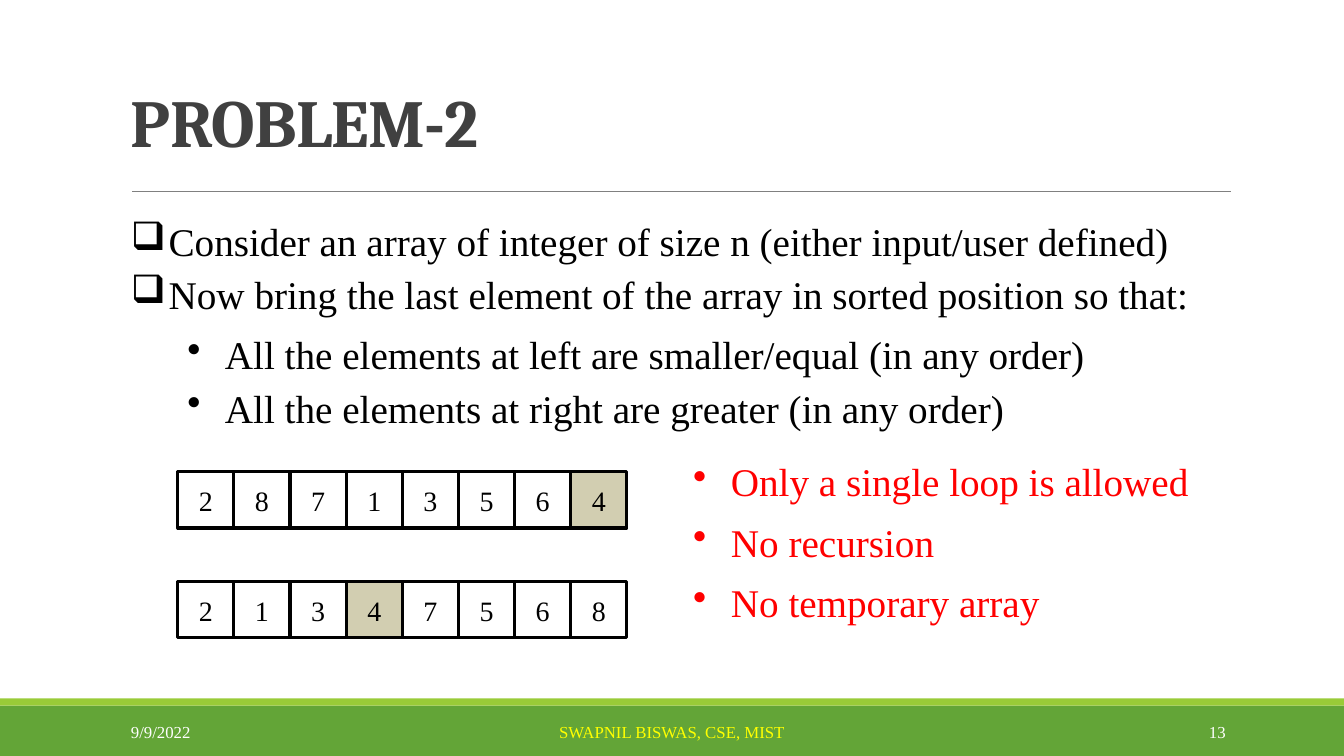
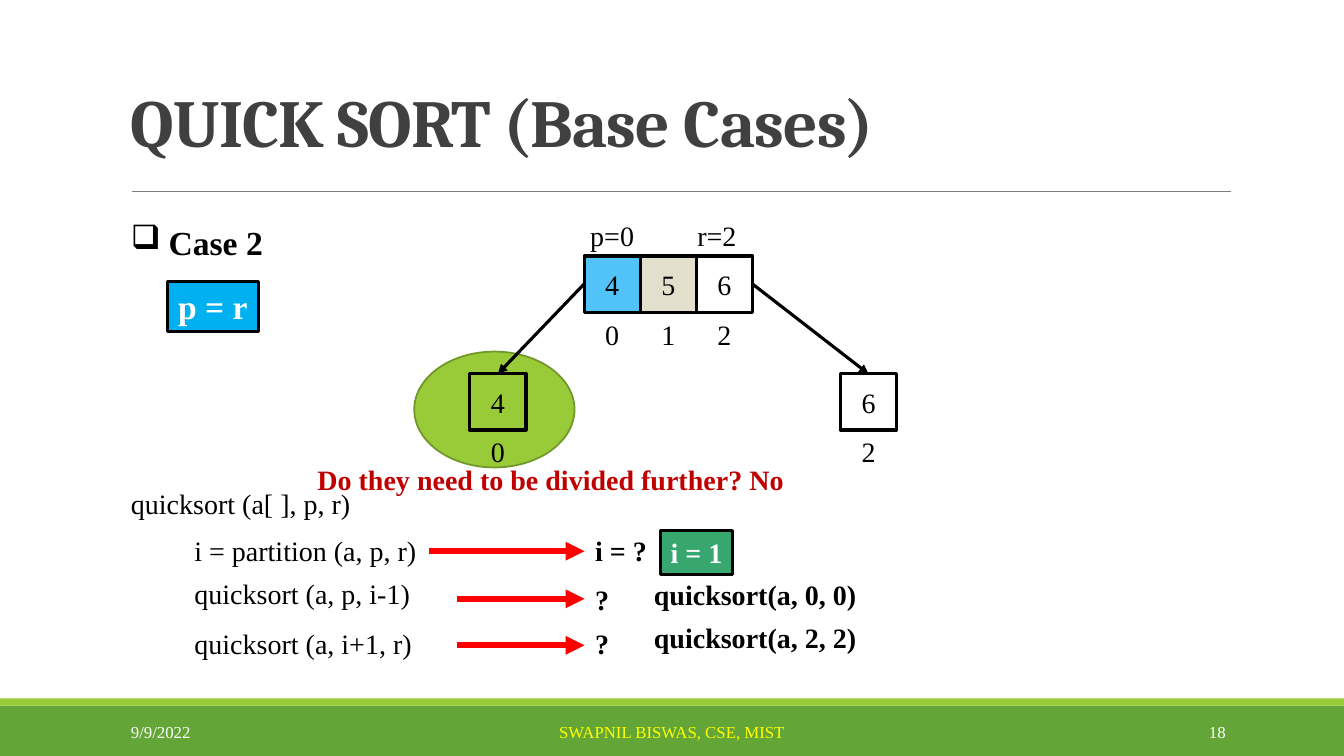
from pptx import Presentation
from pptx.dml.color import RGBColor
from pptx.enum.shapes import MSO_CONNECTOR, MSO_SHAPE
from pptx.enum.text import MSO_ANCHOR, PP_ALIGN
from pptx.oxml.ns import qn
from pptx.util import Cm, Pt
from lxml.etree import SubElement

COLORS = {
    "black": "000000", "white": "FFFFFF", "title": "404040", "rule": "808080",
    "band": "63A537", "lime": "99CB38", "olive": "719629", "yellow": "FFFF00",
    "red": "FF0000", "dark_red": "C00000", "sand": "D2CEB1", "pale_sand": "E2DFCC",
    "sky": "51C3F9", "blue": "00B0F0", "green": "37A76F",
}
BODY_FONT, TITLE_FONT = "Times New Roman", "Cambria"
CELL = 1.415    # side of an array cell
INDENT = 0.95   # hanging indent of a bullet
LEFT = 3.05     # left edge of the content


def rgb(name):
    return RGBColor.from_string(COLORS[name])


def text_height(size):
    """Height of a one-line text box, in cm."""
    return round(size * 0.0423 + 0.26, 2)


# ---- basic parts ----
def style_text(tf, size, color="black", bold=False, font=BODY_FONT,
               align=PP_ALIGN.LEFT):
    for p in tf.paragraphs:
        p.alignment = align
        for r in p.runs:
            r.font.size = Pt(size)
            r.font.name = font
            r.font.bold = bold
            r.font.color.rgb = rgb(color)


def add_text(s, text, x, y, w, size=20, h=None, anchor=MSO_ANCHOR.TOP, **style):
    sp = s.shapes.add_textbox(Cm(x), Cm(y), Cm(w), Cm(h or text_height(size)))
    tf = sp.text_frame
    tf.word_wrap = True
    tf.vertical_anchor = anchor
    tf.text = text
    style_text(tf, size, **style)
    return tf


def add_label(s, text, cx, y):
    """Short text centred on cx."""
    add_text(s, text, cx - 1, y, 2, align=PP_ALIGN.CENTER)


def add_box(s, x, y, w, h, fill=None, line=None, weight=2.25,
            kind=MSO_SHAPE.RECTANGLE, text="", size=20, color="black", bold=False):
    sp = s.shapes.add_shape(kind, Cm(x), Cm(y), Cm(w), Cm(h))
    sp.shadow.inherit = False
    if fill:
        sp.fill.solid()
        sp.fill.fore_color.rgb = rgb(fill)
    else:
        sp.fill.background()
    if line:
        sp.line.color.rgb = rgb(line)
        sp.line.width = Pt(weight)
    else:
        sp.line.fill.background()
    if text:
        tf = sp.text_frame
        tf.margin_left = tf.margin_right = 0
        tf.vertical_anchor = MSO_ANCHOR.MIDDLE
        tf.text = text
        style_text(tf, size, color, bold, align=PP_ALIGN.CENTER)
    return sp


def add_line(s, x1, y1, x2, y2, color="black", weight=2.25, arrow=True):
    c = s.shapes.add_connector(MSO_CONNECTOR.STRAIGHT, Cm(x1), Cm(y1), Cm(x2), Cm(y2))
    c.line.color.rgb = rgb(color)
    c.line.width = Pt(weight)
    sp_pr = c._element.spPr
    if arrow:
        SubElement(sp_pr.find(qn("a:ln")), qn("a:tailEnd"), type="triangle")
    SubElement(sp_pr, qn("a:effectLst"))


def set_bullet(p, char, left=INDENT):
    p_pr = p._p.get_or_add_pPr()
    p_pr.set("marL", str(int(Cm(left))))
    p_pr.set("indent", str(-int(Cm(INDENT))))
    SubElement(p_pr, qn("a:buChar"), char=char)


def add_bullets(s, x, y, w, items, size=28, **style):
    """items: (text, bullet, left indent, space before in points)"""
    tf = add_text(s, "\n".join(item[0] for item in items), x, y, w, size,
                  h=text_height(size) * len(items), **style)
    for p, (_, char, left, gap) in zip(tf.paragraphs, items):
        p.space_before = Pt(gap)
        set_bullet(p, char, left)


def add_array(s, x, y, values, fills):
    """Row of cells; fills maps an index to a colour, None leaves all clear."""
    for i, value in enumerate(values):
        fill = None if fills is None else fills.get(i, "white")
        add_box(s, x + i * CELL, y, CELL, CELL, fill, "black", text=str(value))


# ---- frame shared by the slides ----
def add_frame(prs, title, number):
    s = prs.slides.add_slide(prs.slide_layouts[6])
    add_box(s, 0, 17.78, 33.87, 1.27, "band")
    add_box(s, 0, 17.6, 33.87, 0.18, "lime")
    add_line(s, 3.33, 4.83, 31.01, 4.83, "rule", 0.5, arrow=False)

    tf = add_text(s, title, LEFT, 0.15, 27.94, 48, h=4.04, anchor=MSO_ANCHOR.BOTTOM,
                  color="title", bold=True, font=TITLE_FONT)
    p = tf.paragraphs[0]
    p.line_spacing = 0.85
    p.runs[0].font._element.set("spc", "-50")

    footers = (
        ("9/9/2022", LEFT, 6.86, "white", PP_ALIGN.LEFT),
        ("SWAPNIL BISWAS, CSE, MIST", 10.24, 13.39, "yellow", PP_ALIGN.CENTER),
        (str(number), 27.51, 3.63, "white", PP_ALIGN.RIGHT),
    )
    for text, x, w, color, align in footers:
        add_text(s, text, x, 17.93, w, 12, h=1.02, anchor=MSO_ANCHOR.MIDDLE,
                 color=color, align=align)
    return s


# ---- slide: array problem ----
def problem_slide(prs):
    s = add_frame(prs, "PROBLEM-2", 13)
    sub = INDENT + 1.42
    add_bullets(s, LEFT, 5.36, 28.2, (
        ("Consider an array of integer of size n (either input/user defined)",
         "❑", INDENT, 0),
        ("Now bring the last element of the array in sorted position so that:",
         "❑", INDENT, 4),
        ("All the elements at left are smaller/equal (in any order)", "•", sub, 9.5),
        ("All the elements at right are greater (in any order)", "•", sub, 4.5),
    ))

    # array before and after
    add_array(s, 4.48, 11.89, (2, 8, 7, 1, 3, 5, 6, 4), {7: "sand"})
    add_array(s, 4.48, 14.66, (2, 1, 3, 4, 7, 5, 6, 8), {3: "sand"})

    # constraints
    rules = ("Only a single loop is allowed", "No recursion", "No temporary array")
    add_bullets(s, 17.22, 11.4, 14,
                [(rule, "•", INDENT, 9.6 if i else 0) for i, rule in enumerate(rules)],
                color="red")


# ---- slide: quick sort base cases ----
def partition_tree(s, x, y):
    """Three-cell array at (x, y) with its two sub-arrays below."""
    values = (4, 5, 6)
    add_label(s, "p=0", x + CELL / 2, y - 1.07)
    add_label(s, "r=2", x + 2.5 * CELL - 0.19, y - 1.07)
    add_array(s, x, y, values, {0: "sky", 1: "pale_sand"})
    for i in range(len(values)):
        add_label(s, str(i), x + (i + 0.5) * CELL, y + CELL)

    child_y = y + 2.97
    left_x, right_x = x - 2.88, x + 6.46
    add_box(s, left_x - 1.4, child_y - 0.56, 4.04, 2.92, "lime", "olive", 1.25,
            kind=MSO_SHAPE.OVAL)
    for child_x, index, start_x in ((left_x, 0, x), (right_x, 2, x + 3 * CELL)):
        mid = child_x + CELL / 2
        add_array(s, child_x, child_y, values[index:index + 1], None)
        add_label(s, str(index), mid, child_y + CELL)
        add_line(s, start_x, y + CELL / 2, mid, child_y)


def code_trace(s, x, y):
    """Code lines, each with an arrow to its question and answer."""
    add_text(s, "quicksort (a[ ], p, r)", x, y, 7)
    # call, its top, arrow start, arrow height, question, its top
    rows = (
        ("i = partition (a, p, r)", 1.19, 7.77, 1.75, "i = ?", 1.19),
        ("quicksort (a, p, i-1)", 2.26, 8.46, 2.95, "?", 2.41),
        ("quicksort (a, i+1, r)", 3.51, 8.46, 4.12, "?", 3.51),
    )
    for call, call_y, start, arrow_y, ask, ask_y in rows:
        add_text(s, call, x + 1.6, y + call_y, 6.4)
        add_line(s, x + start, y + arrow_y, x + 11.68, y + arrow_y, "red", 4.5)
        add_text(s, ask, x + 11.7, y + ask_y, 2, bold=True)

    add_box(s, x + 13.59, y + 1.22, 1.83, 1.11, "green", "black",
            text="i = 1", color="white", bold=True)
    for i, answer in enumerate(("quicksort(a, 0, 0)", "quicksort(a, 2, 2)")):
        add_text(s, answer, x + 13.18, y + 2.29 + i * 1.09, 6, bold=True)


def base_case_slide(prs):
    s = add_frame(prs, "QUICK SORT (Base Cases)", 18)
    add_bullets(s, LEFT, 5.46, 6, (("Case 2", "❑", INDENT, 0),), 24, bold=True)
    add_box(s, 4.22, 7.09, 2.29, 1.27, "blue", "black",
            text="p = r", size=24, color="white", bold=True)
    partition_tree(s, 14.72, 6.45)
    add_text(s, "Do they need to be divided further? No", 7.75, 11.53, 13,
             color="dark_red", bold=True)
    code_trace(s, LEFT, 12.14)


def main():
    prs = Presentation()
    prs.slide_width, prs.slide_height = Cm(33.87), Cm(19.05)
    problem_slide(prs)
    base_case_slide(prs)
    prs.save("out.pptx")


if __name__ == "__main__":
    main()
